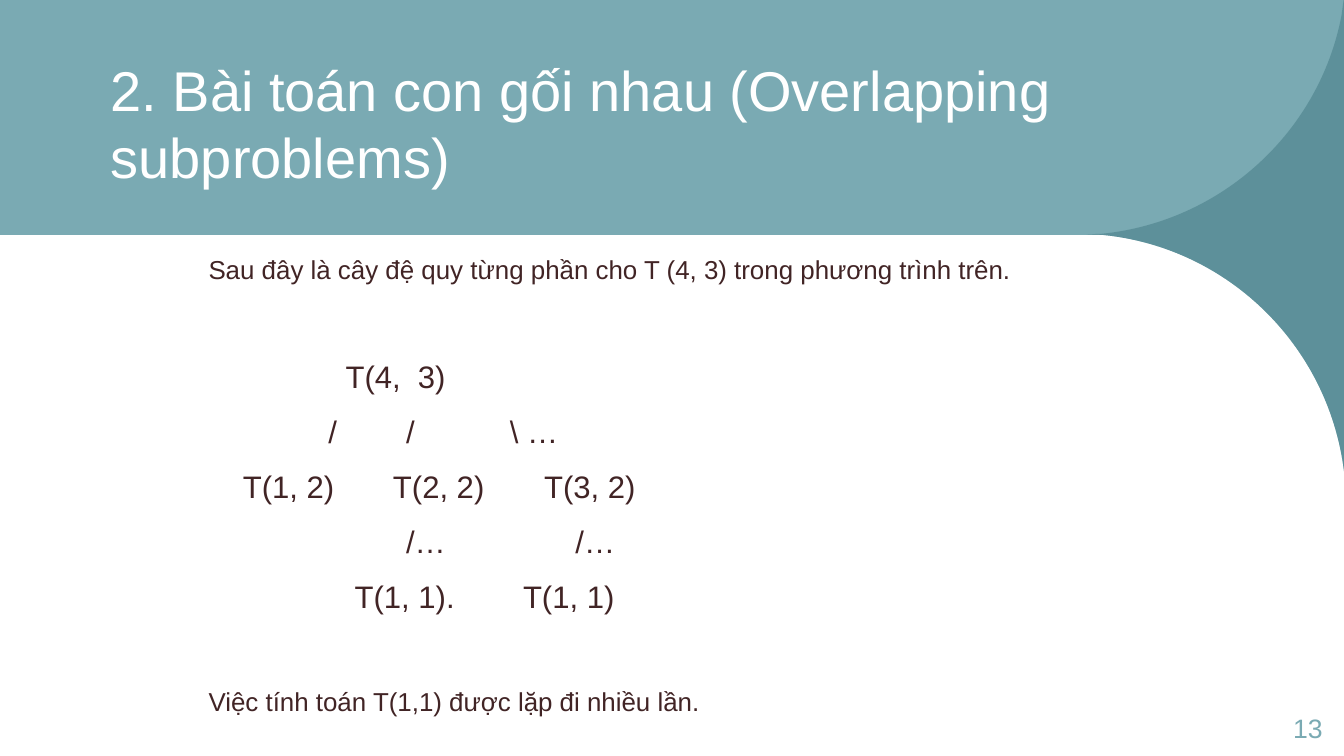
import itertools
from dataclasses import dataclass

import lxml.etree
import pptx
import pptx.dml.color
import pptx.enum.shapes
import pptx.enum.text
import pptx.oxml.ns
import pptx.util

COLS, ROWS = 133.33, 75
CELL = pptx.util.Inches(0.1)
ANCHOR = pptx.enum.text.MSO_ANCHOR
ALIGN = pptx.enum.text.PP_ALIGN
qn = pptx.oxml.ns.qn
Point = tuple[float, float]


@dataclass(frozen=True)
class Theme:
    font: str = "Arial"
    paper: str = "FFFFFF"
    band: str = "7AAAB3"
    corner: str = "528690"
    ink: str = "412425"
    title_size: float = 40
    note_size: float = 18.5
    tree_size: float = 22.2
    number_size: float = 19


@dataclass(frozen=True)
class Box:
    col: float
    row: float
    cols: float
    rows: float


@dataclass(frozen=True)
class Line:
    text: str
    size: float
    color: str
    before: float = 0
    spacing: float = 1.1
    align: ALIGN = ALIGN.LEFT
    tabs: tuple[float, ...] = ()


@dataclass(frozen=True)
class TextBlock:
    box: Box
    anchor: ANCHOR
    lines: tuple[Line, ...]


@dataclass(frozen=True)
class Layer:
    color: str
    opacity: int


THEME = Theme()
PANELS = (
    (Box(0, 0, COLS, ROWS), THEME.paper),
    (Box(0, 0, COLS, 23.3), THEME.band),
)
CORNER_LAYERS = (Layer(THEME.band, 100), Layer(THEME.corner, 70))
CORNER_START = (133.4, 0)
CORNER_STEPS: tuple[tuple[Point, ...], ...] = (
    ((133.3, 0),),
    ((133.1, 1.5),),
    ((130.9, 13.1), (121.2, 22), (109.3, 23.2)),
    ((107.8, 23.25),),
    ((109.3, 23.3),),
    ((122, 24.5), (132.1, 34.6), (133.4, 47.3)),
    ((133.4, 48),),
)
LINE_GAP, SECTION_GAP = 10, 48.8
TREE_ROWS = (
    (("T(4,  3)", 13.6),),
    (("/", 11.9), ("/", 19.6), ("\\ …", 29.9)),
    (("T(1, 2)", 3.4), ("T(2, 2)", 18.3), ("T(3, 2)", 33.3)),
    (("/…", 19.6), ("/…", 36.4)),
    (("T(1, 1).", 14.5), ("T(1, 1)", 31.2)),
)


def grid(cells: float) -> int:
    return round(cells * CELL)


def place(box: Box) -> tuple[int, int, int, int]:
    return grid(box.col), grid(box.row), grid(box.cols), grid(box.rows)


def rgb(color: str) -> pptx.dml.color.RGBColor:
    return pptx.dml.color.RGBColor.from_string(color)


def apply(target: object, values: dict[str, object]) -> None:
    for name, value in values.items():
        setattr(target, name, value)


def paint(sp: pptx.shapes.autoshape.Shape, color: str, opacity: int = 100) -> None:
    sp.shadow.inherit = False
    sp.fill.solid()
    sp.fill.fore_color.rgb = rgb(color)
    sp.line.fill.background()
    if opacity < 100:
        fill = next(sp._element.iter(qn("a:srgbClr")))
        lxml.etree.SubElement(fill, qn("a:alpha"), val=str(opacity * 1000))


def add_panel(s: pptx.slide.Slide, box: Box, color: str) -> None:
    rect = pptx.enum.shapes.MSO_SHAPE.RECTANGLE
    paint(s.shapes.add_shape(rect, *place(box)), color)


def bend(sp: pptx.shapes.autoshape.Shape, steps: tuple[tuple[Point, ...], ...]) -> None:
    segments = iter(list(sp._element.iter(qn("a:lnTo"))))
    for step in steps:
        group = list(itertools.islice(segments, len(step)))
        if len(group) == 3:
            curve = lxml.etree.Element(qn("a:cubicBezTo"))
            group[0].addprevious(curve)
            for segment in group:
                curve.append(segment[0])
                segment.getparent().remove(segment)


def add_corner(s: pptx.slide.Slide, layer: Layer) -> None:
    points = itertools.chain.from_iterable(CORNER_STEPS)
    builder = s.shapes.build_freeform(*map(grid, CORNER_START))
    builder.add_line_segments([(grid(x), grid(y)) for x, y in points], close=True)
    sp = builder.convert_to_shape()
    bend(sp, CORNER_STEPS)
    paint(sp, layer.color, layer.opacity)


def add_tabs(p: pptx.text.text._Paragraph, tabs: tuple[float, ...]) -> None:
    tab_list = lxml.etree.SubElement(p._p.get_or_add_pPr(), qn("a:tabLst"))
    for tab in tabs:
        lxml.etree.SubElement(tab_list, qn("a:tab"), pos=str(grid(tab)), algn="l")


def add_line(p: pptx.text.text._Paragraph, line: Line) -> None:
    apply(p, {
        "alignment": line.align,
        "line_spacing": line.spacing,
        "space_before": pptx.util.Pt(line.before),
    })
    if line.tabs:
        add_tabs(p, line.tabs)
    r = p.add_run()
    r.text = line.text
    apply(r.font, {"name": THEME.font, "size": pptx.util.Pt(line.size)})
    r.font.color.rgb = rgb(line.color)


def add_text(s: pptx.slide.Slide, block: TextBlock) -> None:
    tf = s.shapes.add_textbox(*place(block.box)).text_frame
    apply(tf, {"word_wrap": True, "vertical_anchor": block.anchor})
    for i, line in enumerate(block.lines):
        add_line(tf.add_paragraph() if i else tf.paragraphs[0], line)


def tree_lines() -> tuple[Line, ...]:
    return tuple(
        Line("".join(f"\t{text}" for text, _ in row), THEME.tree_size, THEME.ink,
             LINE_GAP if i else SECTION_GAP, tabs=tuple(tab for _, tab in row))
        for i, row in enumerate(TREE_ROWS)
    )


def main() -> None:
    prs = pptx.Presentation()
    apply(prs, {"slide_width": grid(COLS), "slide_height": grid(ROWS)})
    s = prs.slides.add_slide(prs.slide_layouts[6])
    for box, color in PANELS:
        add_panel(s, box, color)
    for layer in CORNER_LAYERS:
        add_corner(s, layer)
    blocks = (
        TextBlock(Box(10, 4.7, 108.4, 15), ANCHOR.MIDDLE, (
            Line("2. Bài toán con gối nhau (Overlapping subproblems)",
                 THEME.title_size, THEME.paper, spacing=1),
        )),
        TextBlock(Box(19.7, 24.4, 93.9, 47.4), ANCHOR.TOP, (
            Line("Sau đây là cây đệ quy từng phần cho T (4, 3) trong phương trình trên.",
                 THEME.note_size, THEME.ink),
            *tree_lines(),
            Line("Việc tính toán T(1,1) được lặp đi nhiều lần.",
                 THEME.note_size, THEME.ink, SECTION_GAP),
        )),
        TextBlock(Box(124.6, 70.4, 7.6, 4), ANCHOR.MIDDLE, (
            Line("13", THEME.number_size, THEME.band, spacing=0.9, align=ALIGN.RIGHT),
        )),
    )
    for block in blocks:
        add_text(s, block)
    prs.save("out.pptx")


if __name__ == "__main__":
    main()
